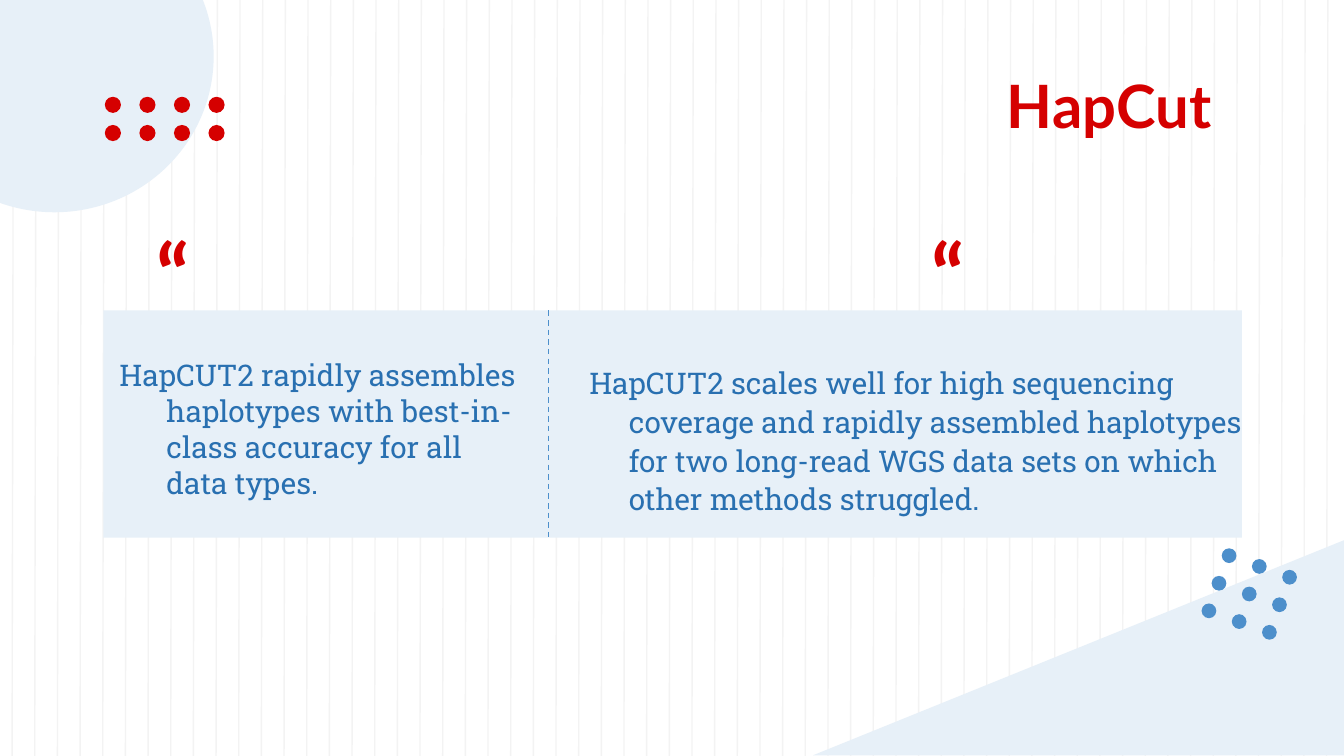
from dataclasses import dataclass

from lxml import etree
from pptx import Presentation
from pptx.dml.color import RGBColor
from pptx.enum import dml, shapes, text
from pptx.oxml import ns
from pptx.util import Inches, Pt


@dataclass(frozen=True)
class Theme:
    red: str = "D50000"
    blue: str = "4D8FCB"
    text_blue: str = "2970B1"
    pale: str = "E7F0F8"
    stripe: str = "F3F3F3"
    dark: str = "212121"
    heading_font: str = "Lato"
    body_font: str = "Roboto Slab"
    spacer_font: str = "Cabin"
    title_size: int = 32
    quote_size: int = 46
    body_size: int = 16
    spacer_size: int = 18
    line_width: float = 0.75


THEME = Theme()
OVAL = shapes.MSO_SHAPE.OVAL


def add_line(parent, start, end, color, dash=None):
    line = parent.add_connector(
        shapes.MSO_CONNECTOR.STRAIGHT, *map(Inches, (*start, *end)))
    line.line.color.rgb = RGBColor.from_string(color)
    line.line.width = Pt(THEME.line_width)
    if dash is not None:
        line.line.dash_style = dash
    etree.SubElement(line._element.spPr, ns.qn("a:effectLst"))


def add_filled(parent, kind, bounds, color, flipped=False):
    shape = parent.add_shape(kind, *map(Inches, bounds))
    shape.shadow.inherit = False
    shape.fill.solid()
    shape.fill.fore_color.rgb = RGBColor.from_string(color)
    shape.line.fill.background()
    if flipped:
        shape._element.spPr.get_or_add_xfrm().set("flipH", "1")


def add_dots(slide, origin, across, down, columns, rows, size, color):
    """Place a grid of dots; across and down are the (x, y) steps."""
    group = slide.shapes.add_group_shape()
    for row in range(rows):
        for column in range(columns):
            left = origin[0] + column * across[0] + row * down[0]
            top = origin[1] + column * across[1] + row * down[1]
            add_filled(group.shapes, OVAL, (left, top, size, size), color)


def set_font(font, name, size, color, bold=False):
    font.name = name
    font.size = Pt(size)
    font.bold = bold
    font.color.rgb = RGBColor.from_string(color)


def add_text_box(slide, bounds, top_inset=0.1, bottom_inset=0.1,
                 anchor=text.MSO_ANCHOR.TOP):
    """Add an empty text box and return its first paragraph."""
    frame = slide.shapes.add_textbox(*map(Inches, bounds)).text_frame
    frame.word_wrap = True
    frame.vertical_anchor = anchor
    frame.margin_left = frame.margin_right = Inches(0.1)
    frame.margin_top = Inches(top_inset)
    frame.margin_bottom = Inches(bottom_inset)
    return frame.paragraphs[0]


def add_heading(slide, bounds, words, size, align=text.PP_ALIGN.LEFT):
    para = add_text_box(slide, bounds)
    para.alignment = align
    para.add_run().text = words
    set_font(para.font, THEME.heading_font, size, THEME.red, bold=True)


def add_statement(slide, bounds, words, spacer=False):
    """Add a hanging-indent statement, optionally led by a spacer run."""
    para = add_text_box(slide, bounds, 0.2, 0, text.MSO_ANCHOR.MIDDLE)
    properties = para._p.get_or_add_pPr()
    properties.set("marL", str(Inches(0.5)))
    properties.set("indent", str(Inches(-0.35)))
    if spacer:
        para.line_spacing = 1.07
        para.space_after = Pt(8)
        span = para.add_run()
        span.text = " "
        set_font(span.font, THEME.spacer_font, THEME.spacer_size, THEME.dark)
    span = para.add_run()
    span.text = words
    set_font(span.font, THEME.body_font, THEME.body_size, THEME.text_blue)


def add_stripes(slide, count=59, first=0.1, last=9.88):
    group = slide.shapes.add_group_shape()
    step = (last - first) / (count - 1)
    for index in range(count):
        x = first + index * step
        add_line(group.shapes, (x, -0.04), (x - 0.01, 5.67), THEME.stripe)


def main():
    # Widescreen page, 16:9
    deck = Presentation()
    deck.slide_width = Inches(10)
    deck.slide_height = Inches(10 * 9 / 16)
    slide = deck.slides.add_slide(deck.slide_layouts[6])

    # Background decoration
    add_stripes(slide)
    add_filled(slide.shapes, shapes.MSO_SHAPE.RIGHT_TRIANGLE,
               (6.05, 4.02, 3.95, 1.6), THEME.pale, flipped=True)
    add_filled(slide.shapes, OVAL, (-0.78, -0.74, 2.37, 2.32), THEME.pale)
    add_dots(slide, (0.78, 0.72), (0.257, 0), (0, 0.21), 4, 2, 0.12, THEME.red)
    add_dots(slide, (9.09, 4.08), (0.225, 0.08), (-0.075, 0.205), 3, 3, 0.11,
             THEME.blue)

    # Panel behind the statements
    add_filled(slide.shapes, shapes.MSO_SHAPE.RECTANGLE,
               (0.77, 2.31, 8.47, 1.69), THEME.pale)

    # Title
    add_heading(slide, (1.08, 0.41, 8.14, 0.6), "HapCut ", THEME.title_size,
                text.PP_ALIGN.RIGHT)

    # Statements
    add_statement(slide, (0.64, 2.39, 3.32, 1.4),
                  "HapCUT2 rapidly assembles haplotypes with best-in-class "
                  "accuracy for all data types.")
    add_statement(slide, (4.08, 2.6, 5.28, 1.11),
                  "HapCUT2 scales well for high sequencing coverage and "
                  "rapidly assembled haplotypes for two long-read WGS data "
                  "sets on which other methods struggled.", spacer=True)

    # Quotation marks
    for left in (1.07, 6.83):
        add_heading(slide, (left, 1.55, 2, 0.42), "“", THEME.quote_size)

    # Divider between the statements
    add_line(slide.shapes, (4.08, 2.31), (4.08, 4.01), THEME.blue,
             dml.MSO_LINE.DASH)

    deck.save("out.pptx")


if __name__ == "__main__":
    main()
